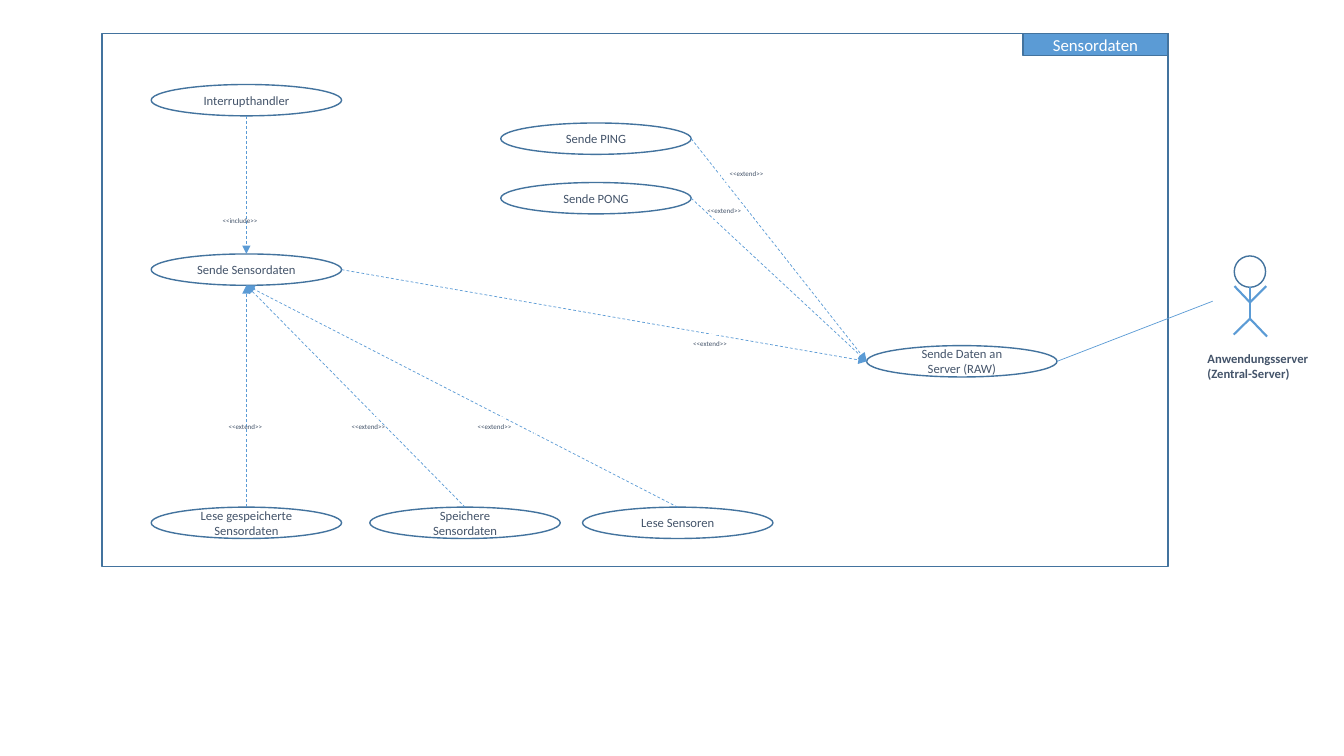
from dataclasses import dataclass
from pptx import Presentation, util as u
from pptx.dml.color import RGBColor
from pptx.enum import dml, shapes, text
from pptx.oxml.ns import qn
from lxml import etree


@dataclass(frozen=True)
class Theme:
    font: str = "Calibri"
    accent: RGBColor = RGBColor.from_string("5B9BD5")
    outline: RGBColor = RGBColor.from_string("43739E")
    ink: RGBColor = RGBColor.from_string("44546A")
    paper: RGBColor = RGBColor.from_string("FFFFFF")
    heading: int = 12
    body: int = 9
    stereotype: int = 5
    thin: float = 0.5
    border: float = 1
    limb: float = 1.5


THEME = Theme()
CASE_SIZE = (4.8, 0.79)
LABEL_SIZE = (1.68, 0.48)

USE_CASES = {
    "Interrupthandler": (1.24, 1.29),
    "Sende Sensordaten": (1.24, 5.56),
    "Lese gespeicherte Sensordaten": (1.24, 11.94),
    "Speichere Sensordaten": (6.75, 11.94),
    "Lese Sensoren": (12.11, 11.94),
    "Sende PING": (10.05, 2.26),
    "Sende PONG": (10.05, 3.76),
    "Sende Daten an Server (RAW)": (19.27, 7.87),
}
SEND, RAW = "Sende Sensordaten", "Sende Daten an Server (RAW)"

RELATIONS = [
    ("Interrupthandler", "bottom", SEND, "top", "<<include>>", (2.79, 4.49)),
    ("Lese gespeicherte Sensordaten", "top", SEND, "bottom", "<<extend>>", (2.94, 9.68)),
    ("Speichere Sensordaten", "top", SEND, "bottom", "<<extend>>", (6.04, 9.68)),
    ("Lese Sensoren", "top", SEND, "bottom", "<<extend>>", (9.22, 9.68)),
    (SEND, "right", RAW, "left", "<<extend>>", (14.65, 7.59)),
    ("Sende PING", "right", RAW, "left", "<<extend>>", (15.57, 3.3)),
    ("Sende PONG", "right", RAW, "left", "<<extend>>", (15.01, 4.24)),
]
SIDES = {"top": (0.5, 0), "bottom": (0.5, 1), "left": (0, 0.5), "right": (1, 0.5)}


def write(frame, lines, size, color, align=None, bold=False):
    frame.word_wrap = True
    for number, line in enumerate(lines):
        paragraph = frame.add_paragraph() if number else frame.paragraphs[0]
        paragraph.text = line
        paragraph.alignment = align
        font = paragraph.font
        font.name, font.size, font.bold = THEME.font, u.Pt(size), bold
        font.color.rgb = color


def add_outline(parent, preset, left, top, width, height, fill=None):
    outline = parent.add_shape(preset, *map(u.Cm, (left, top, width, height)))
    outline.shadow.inherit = False
    if fill is None:
        outline.fill.background()
    else:
        outline.fill.solid()
        outline.fill.fore_color.rgb = fill
    outline.line.color.rgb = THEME.outline
    outline.line.width = u.Pt(THEME.border)
    return outline


def add_line(parent, start, end, width, dashed_arrow=False):
    line = parent.add_connector(shapes.MSO_CONNECTOR.STRAIGHT, *map(u.Cm, (*start, *end)))
    line.line.color.rgb = THEME.accent
    line.line.width = u.Pt(width)
    if dashed_arrow:
        line.line.dash_style = dml.MSO_LINE.DASH
        etree.SubElement(line.line._get_or_add_ln(), qn("a:tailEnd"), type="triangle")
    etree.SubElement(line._element.spPr, qn("a:effectLst"))


def add_caption(parent, lines, left, top, width, height, size, bold=False):
    caption = parent.add_textbox(*map(u.Cm, (left, top, width, height)))
    caption.line.color.rgb = THEME.paper
    caption.line.width = u.Pt(0.75)
    write(caption.text_frame, lines, size, THEME.ink, bold=bold)


def case_side(box, case, side):
    return tuple(origin + offset + share * length for origin, offset, share, length
                 in zip(box, USE_CASES[case], SIDES[side], CASE_SIZE))


def draw_system(parent, box):
    left, top, width, height = box
    add_outline(parent, shapes.MSO_SHAPE.RECTANGLE, *box)
    tag_width = 3.66
    tag = add_outline(parent, shapes.MSO_SHAPE.RECTANGLE,
                      left + width - tag_width, top, tag_width, 0.56, THEME.accent)
    write(tag.text_frame, ["Sensordaten"], THEME.heading, THEME.paper, text.PP_ALIGN.CENTER)

    for name, (x, y) in USE_CASES.items():
        case = add_outline(parent, shapes.MSO_SHAPE.OVAL, left + x, top + y, *CASE_SIZE)
        case.text_frame.vertical_anchor = text.MSO_ANCHOR.MIDDLE
        write(case.text_frame, [name], THEME.body, THEME.ink, text.PP_ALIGN.CENTER)

    for source, exit_side, target, entry_side, _, _ in RELATIONS:
        add_line(parent, case_side(box, source, exit_side),
                 case_side(box, target, entry_side), THEME.thin, dashed_arrow=True)
    for *_, stereotype, (x, y) in RELATIONS:
        add_caption(parent, [stereotype], left + x, top + y, *LABEL_SIZE, THEME.stereotype)


def draw_actor(parent, box):
    left, top, width, height = box
    figure = parent.add_group_shape().shapes
    head = 0.79
    center = left + 1.32
    add_outline(figure, shapes.MSO_SHAPE.OVAL, center - head / 2, top, head, head)
    shoulder, hip = (0, 1.17), (0, 1.58)
    limbs = [
        ((0, head), hip),
        (hip, (0.43, 2.03)),
        (hip, (-0.41, 1.98)),
        (shoulder, (0.41, 0.76)),
        (shoulder, (-0.39, 0.76)),
    ]
    for limb in limbs:
        start, end = ((center + x, top + y) for x, y in limb)
        add_line(figure, start, end, THEME.limb)
    caption_height = 1.02
    add_caption(parent, ["Anwendungsserver", "(Zentral-Server)"], left,
                top + height - caption_height, width, caption_height, THEME.body, bold=True)


def draw_use_case_slide(slide, system_box, actor_box):
    draw_system(slide.shapes, system_box)
    draw_actor(slide.shapes, actor_box)
    actor_contact = (actor_box[0] + 0.38, actor_box[1] + 1.14)
    add_line(slide.shapes, actor_contact, case_side(system_box, RAW, "right"), THEME.thin)


deck = Presentation()
deck.slide_width, deck.slide_height = u.Cm(33.87), u.Cm(19.05)
use_case_slide = deck.slides.add_slide(deck.slide_layouts.get_by_name("Blank"))
draw_use_case_slide(use_case_slide, (2.57, 0.84, 26.87, 13.44), (30.18, 6.45, 3.58, 3.28))
deck.save("out.pptx")
